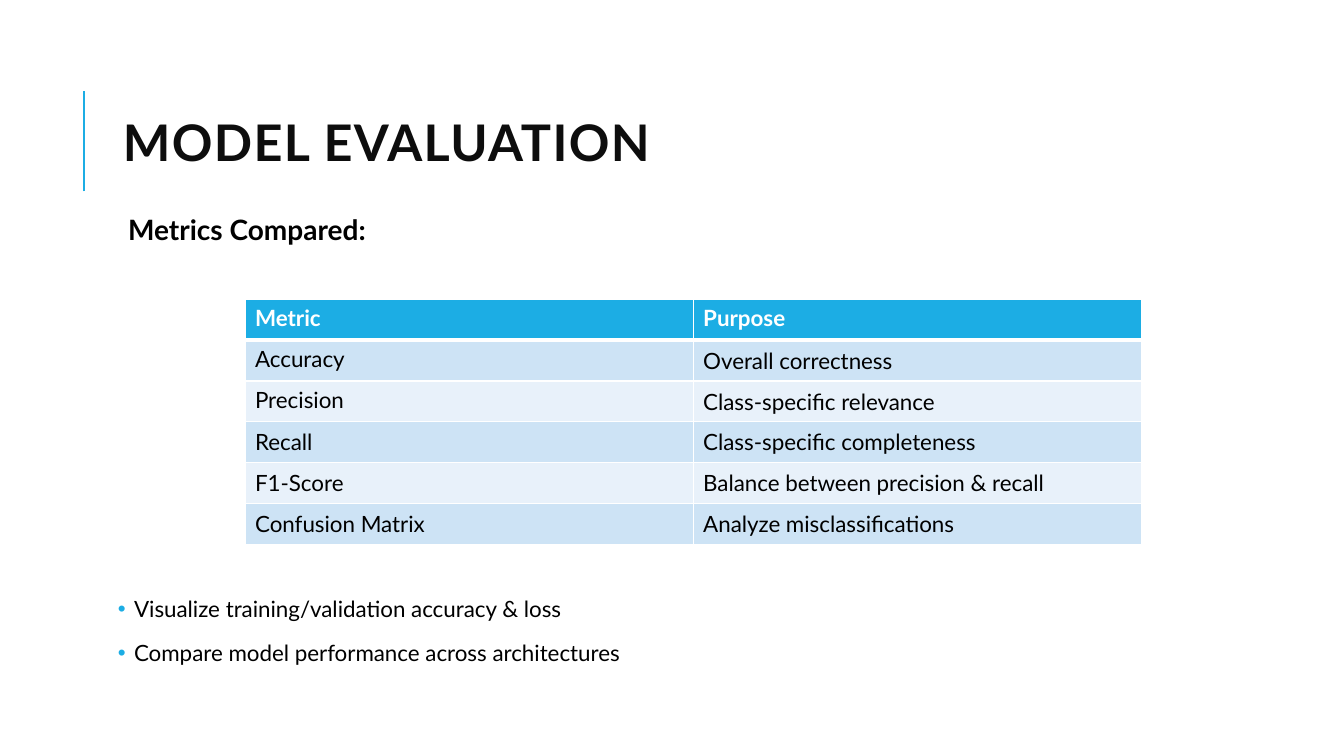
from lxml import etree
from pptx import Presentation
from pptx.dml.color import RGBColor
from pptx.enum.shapes import MSO_CONNECTOR
from pptx.enum.text import MSO_ANCHOR, MSO_AUTO_SIZE, PP_ALIGN
from pptx.oxml.ns import qn
from pptx.util import Inches, Pt

STRAIGHT = MSO_CONNECTOR.STRAIGHT
TOP, MIDDLE = MSO_ANCHOR.TOP, MSO_ANCHOR.MIDDLE
LEFT = PP_ALIGN.LEFT
NO_FIT = MSO_AUTO_SIZE.NONE

BLUE = RGBColor(0x1C, 0xAD, 0xE4)
INK = RGBColor(0x0D, 0x0D, 0x0D)
BLACK = RGBColor(0, 0, 0)
WHITE = RGBColor(255, 255, 255)
BANDS = [RGBColor(0xE8, 0xF1, 0xFA), RGBColor(0xCD, 0xE3, 0xF5)]

deck = Presentation()
deck.slide_width, deck.slide_height = Inches(13.33), Inches(7.5)
slide = deck.slides.add_slide(deck.slide_layouts[1])


def share(*box):
    """Turn percentages of the slide's width and height, in turn, into lengths."""
    sides = (deck.slide_width, deck.slide_height)
    return [int(sides[i % 2] * part / 100) for i, part in enumerate(box)]


def style(para, text, size, color, bold):
    run = para.add_run()
    run.text = text
    look = {"name": "Lato", "size": Pt(size), "bold": bold}
    for key, value in look.items():
        setattr(run.font, key, value)
    run.font.color.rgb = color
    return run


# Accent line
x1, y1, x2, y2 = share(6.23, 25.33, 6.23, 12)
accent = slide.shapes.add_connector(STRAIGHT, x1, y1, x2, y2)
accent.line.color.rgb = BLUE
accent.line.width = Pt(1.5)
etree.SubElement(accent._element.spPr, qn("a:effectLst"))

# Title and body frames
title, body = slide.shapes.title, slide.placeholders[1]
frames = [
    (title, (8.4, 8.53, 79.74, 21.87), MIDDLE, 0.1),
    (body, (8.4, 28, 86.27, 63.47), TOP, 0.05),
]
for holder, box, anchor, inset in frames:
    holder.left, holder.top, holder.width, holder.height = share(*box)
    form = {"word_wrap": True, "auto_size": NO_FIT, "vertical_anchor": anchor,
            "margin_left": Inches(inset), "margin_right": Inches(inset),
            "margin_top": Inches(0.05), "margin_bottom": Inches(0.05)}
    for key, value in form.items():
        setattr(holder.text_frame, key, value)

head = title.text_frame.paragraphs[0]
head.alignment, head.line_spacing = LEFT, 0.8
run = style(head, "MODEL EVALUATION", 36, INK, True)
run.font._element.set("spc", "100")

# Body list: the wide space before the first bullet leaves room for the table
lines = [
    ("Metrics Compared:", 20, True, 12, 0.1, None),
    ("Visualize training/validation accuracy & loss", 16, False, 249, 0.16, "•"),
    ("Compare model performance across architectures", 16, False, 12, 0.16, "•"),
]
for i, (text, size, bold, before, indent, mark) in enumerate(lines):
    frame = body.text_frame
    para = frame.add_paragraph() if i else frame.paragraphs[0]
    form = {"alignment": LEFT, "line_spacing": 0.9,
            "space_before": Pt(before), "space_after": Pt(2)}
    for key, value in form.items():
        setattr(para, key, value)
    props = para._p.get_or_add_pPr()
    props.set("marL", str(Inches(indent)))
    props.set("indent", str(-Inches(indent) if mark else 0))
    if mark:
        tint = etree.SubElement(props, qn("a:buClr"))
        etree.SubElement(tint, qn("a:srgbClr"), val=str(BLUE))
        etree.SubElement(props, qn("a:buFont"), typeface="Arial")
        etree.SubElement(props, qn("a:buChar"), char=mark)
    else:
        etree.SubElement(props, qn("a:buNone"))
    style(para, text, size, BLACK, bold)

# Metrics table
rows = [
    ("Metric", "Purpose"),
    ("Accuracy", "Overall correctness"),
    ("Precision", "Class-specific relevance"),
    ("Recall", "Class-specific completeness"),
    ("F1-Score", "Balance between precision & recall"),
    ("Confusion Matrix", "Analyze misclassifications"),
]
top_cells = {(0, 0), (0, 1), (1, 0), (2, 0)}
grid = slide.shapes.add_table(len(rows), 2, *share(18.23, 39.6, 66.69, 32.4)).table
for r, row in enumerate(rows):
    for c, text in enumerate(row):
        cell = grid.cell(r, c)
        cell.fill.solid()
        cell.fill.fore_color.rgb = BANDS[r % 2] if r else BLUE
        cell.vertical_anchor = TOP if (r, c) in top_cells else MIDDLE
        style(cell.text_frame.paragraphs[0], text, 16, BLACK if r else WHITE, r == 0)
        props = cell._tc.get_or_add_tcPr()
        for i, side in enumerate("LRTB"):
            thick = (r, side) in {(0, "B"), (1, "T")}
            edge = etree.Element(qn(f"a:ln{side}"), w=str(Pt(3 if thick else 1)))
            paint = etree.SubElement(edge, qn("a:solidFill"))
            etree.SubElement(paint, qn("a:srgbClr"), val=str(WHITE))
            props.insert(i, edge)

deck.save("out.pptx")
